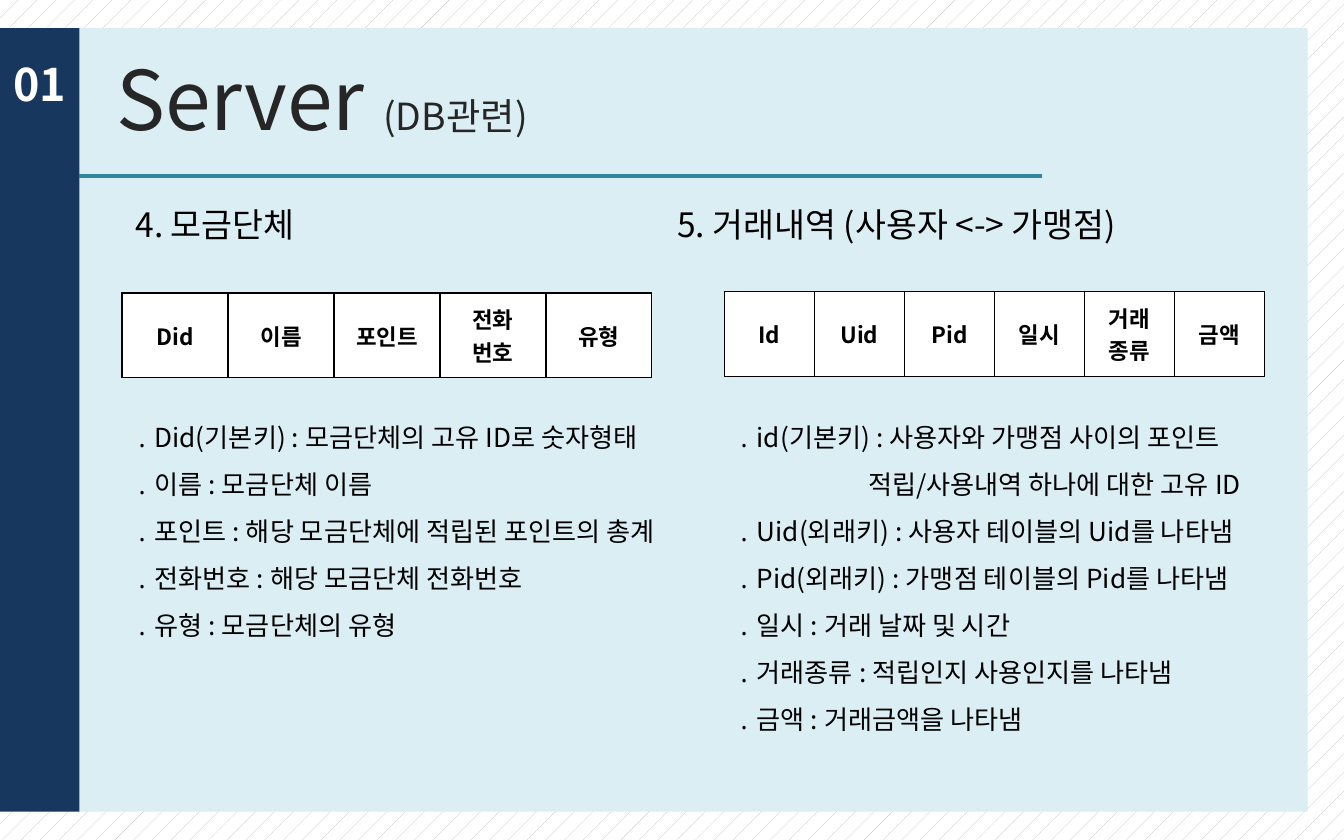
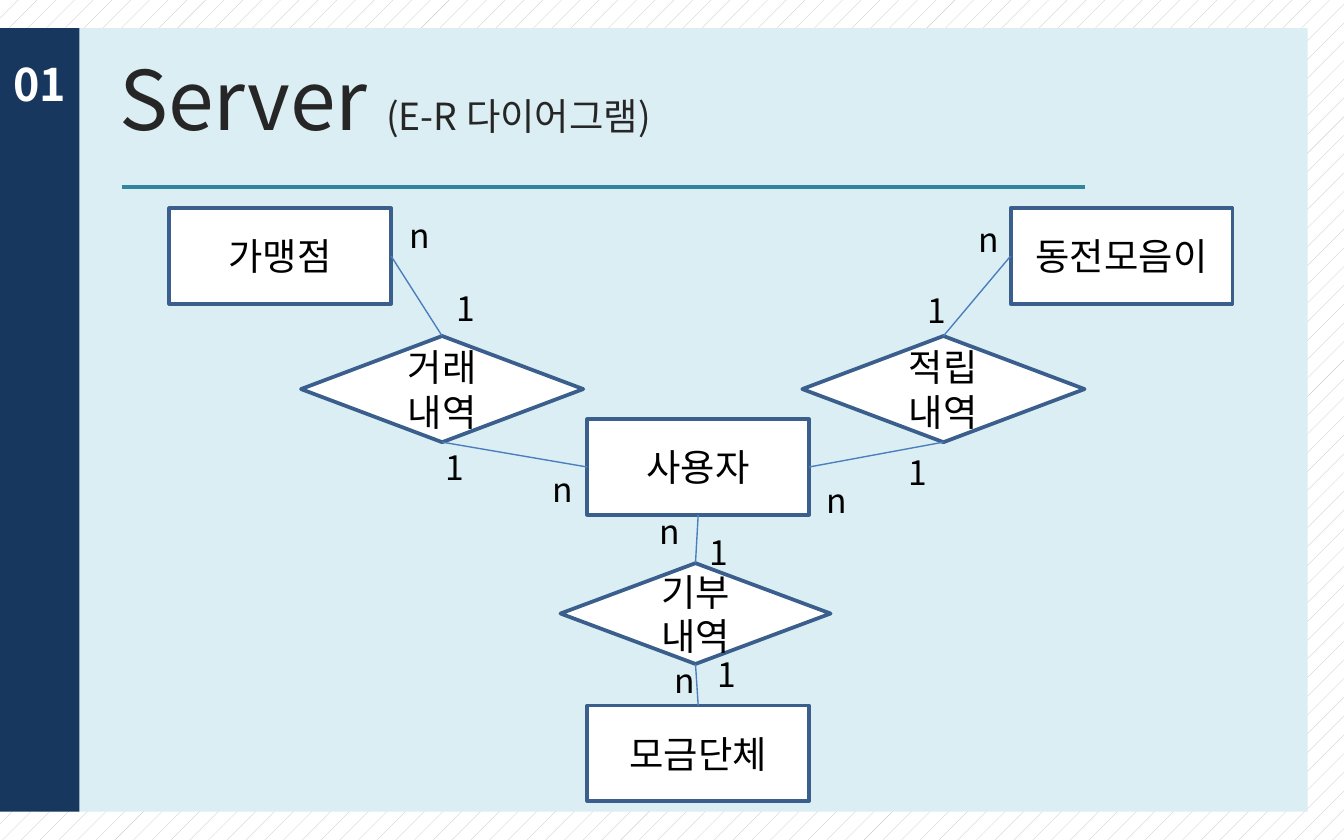
"""Build two server slides: database tables and an entity-relationship diagram."""
from dataclasses import dataclass

import pptx
import pptx.dml.color
import pptx.enum.dml
import pptx.enum.shapes
import pptx.enum.text
import pptx.oxml.ns
import pptx.util
from lxml import etree

SHAPE = pptx.enum.shapes.MSO_SHAPE
ALIGN = pptx.enum.text.PP_ALIGN
ANCHOR = pptx.enum.text.MSO_ANCHOR
TOP, LEFT, BOTTOM, RIGHT = range(4)
WIDTH, HEIGHT = pptx.util.Inches(10), pptx.util.Inches(6.25)
COLUMNS = 100


@dataclass(frozen=True)
class Theme:
    """Colours, font and type sizes of the deck."""
    font: str = "Noto Sans CJK KR"
    panel: str = "DBEEF4"
    bar: str = "17375E"
    rule: str = "31859C"
    hatch: str = "BFBFBF"
    title: str = "262626"
    outline: str = "3A5F8C"
    link: str = "4B7EBC"
    ink: str = "000000"
    paper: str = "FFFFFF"
    title_size: int = 44
    subtitle_size: int = 20
    number_size: int = 24
    heading_size: int = 18
    body_size: int = 14
    cell_size: int = 12
    node_size: int = 20


THEME = Theme()

FIELDS = [
    "․ Did(기본키) : 모금단체의 고유 ID로 숫자형태",
    "․ 이름 : 모금단체 이름",
    "․ 포인트 : 해당 모금단체에 적립된 포인트의 총계",
    "․ 전화번호 : 해당 모금단체 전화번호",
    "․ 유형 : 모금단체의 유형",
]
TRADE_FIELDS = [
    "․ id(기본키) : 사용자와 가맹점 사이의 포인트",
    "적립/사용내역 하나에 대한 고유 ID",
    "․ Uid(외래키) : 사용자 테이블의 Uid를 나타냄",
    "․ Pid(외래키) : 가맹점 테이블의 Pid를 나타냄",
    "․ 일시 : 거래 날짜 및 시간",
    "․ 거래종류 : 적립인지 사용인지를 나타냄",
    "․ 금액 : 거래금액을 나타냄",
]
ENTITIES = {
    "사용자": (43.7, 31.2),
    "모금단체": (43.7, 52.5),
    "동전모음이": (75.2, 15.5),
    "가맹점": (12.6, 15.5),
}
RELATIONS = {
    "적립\n내역": (59.7, 25, 21, 7.9),
    "거래\n내역": (22.4, 25, 21, 7.9),
    "기부\n내역": (41.7, 41.9, 20.1, 7.5),
}
LINKS = [
    ("거래\n내역", TOP, "가맹점", RIGHT),
    ("적립\n내역", TOP, "동전모음이", LEFT),
    ("기부\n내역", TOP, "사용자", BOTTOM),
    ("사용자", LEFT, "거래\n내역", BOTTOM),
    ("사용자", RIGHT, "적립\n내역", BOTTOM),
    ("기부\n내역", BOTTOM, "모금단체", TOP),
]
CARDINALITIES = {
    "n": [(29.5, 15.5), (40.1, 34.4), (48.1, 37.5),
          (49.2, 48.6), (60.5, 35.2), (71.8, 15.8)],
    "1": [(33, 20.9), (32.2, 32.8), (51.8, 39.1),
          (52.4, 48.2), (66.6, 33.1), (68, 21.1)],
}


def grid(*cells):
    """Turn counts of square grid cells into slide lengths."""
    return [round(WIDTH * n / COLUMNS) for n in cells]


def rgb(code):
    """Return the colour for a hex code."""
    return pptx.dml.color.RGBColor.from_string(code)


def format_run(r, size, color=THEME.ink, bold=False):
    """Give a run its font for Latin and Korean letters, size and colour."""
    r.font.size = pptx.util.Pt(size)
    r.font.bold = bold
    r.font.color.rgb = rgb(color)
    r.font.name = THEME.font
    latin = r.font._element.find(pptx.oxml.ns.qn("a:latin"))
    ea = etree.Element(pptx.oxml.ns.qn("a:ea"), typeface=THEME.font)
    latin.addnext(ea)


def write(tf, text, size, color=THEME.ink, bold=False, align=None, spacing=None):
    """Write text into a frame and format all of it alike."""
    tf.text = text
    for p in tf.paragraphs:
        p.alignment = align
        p.line_spacing = spacing
        for r in p.runs:
            format_run(r, size, color, bold)


def add_text(s, box, text, size, **style):
    """Add a wrapping text box and return its frame."""
    tf = s.shapes.add_textbox(*grid(*box)).text_frame
    tf.word_wrap = True
    write(tf, text, size, **style)
    return tf


def add_block(s, kind, box, fill, outline=None):
    """Add a filled preset shape, outlined if a colour is given."""
    sp = s.shapes.add_shape(kind, *grid(*box))
    sp.shadow.inherit = False
    sp.fill.solid()
    sp.fill.fore_color.rgb = rgb(fill)
    if outline:
        sp.line.color.rgb = rgb(outline)
        sp.line.width = pptx.util.Pt(2)
    else:
        sp.line.fill.background()
    return sp


def add_line(s, ends, color, width):
    """Add a straight line without shadow."""
    cxn = s.shapes.add_connector(
        pptx.enum.shapes.MSO_CONNECTOR.STRAIGHT, *grid(*ends))
    cxn.line.color.rgb = rgb(color)
    cxn.line.width = pptx.util.Pt(width)
    etree.SubElement(cxn._element.spPr, pptx.oxml.ns.qn("a:effectLst"))
    return cxn


def add_node(s, kind, box, text):
    """Add a labelled diagram node."""
    sp = add_block(s, kind, box, THEME.paper, THEME.outline)
    sp.text_frame.vertical_anchor = ANCHOR.MIDDLE
    write(sp.text_frame, text, THEME.node_size, align=ALIGN.CENTER)
    return sp


def add_border(cell):
    """Draw a thin line on each side of a table cell."""
    tc_pr = cell._tc.get_or_add_tcPr()
    for side in ("lnL", "lnR", "lnT", "lnB"):
        ln = etree.SubElement(tc_pr, pptx.oxml.ns.qn(f"a:{side}"),
                              w=str(pptx.util.Pt(1)))
        fill = etree.SubElement(ln, pptx.oxml.ns.qn("a:solidFill"))
        etree.SubElement(fill, pptx.oxml.ns.qn("a:srgbClr"), val=THEME.ink)


def add_fields_table(s, box, names):
    """Add a one-row table of field names with equal columns."""
    table = s.shapes.add_table(1, len(names), *grid(*box)).table
    table.first_row = table.horz_banding = False
    for cell, name in zip(table.rows[0].cells, names):
        add_border(cell)
        cell.fill.solid()
        cell.fill.fore_color.rgb = rgb(THEME.paper)
        cell.vertical_anchor = ANCHOR.MIDDLE
        write(cell.text_frame, name, THEME.cell_size, bold=True,
              align=ALIGN.CENTER)


def set_title(s, left, title, subtitle):
    """Place the title and set its large and small parts."""
    sp = s.shapes.title
    sp.left, sp.top, sp.width, sp.height = grid(left, 2.1, 52.1, 10.4)
    tf = sp.text_frame
    tf.vertical_anchor = ANCHOR.MIDDLE
    p = tf.paragraphs[0]
    p.alignment = ALIGN.CENTER
    for text, size in ((title, THEME.title_size),
                       (subtitle, THEME.subtitle_size)):
        r = p.add_run()
        r.text = text
        format_run(r, size, THEME.title)


def add_slide(prs, title_left, subtitle, rule_left, rule_top):
    """Add a slide with title, side bar, section number and rule."""
    s = prs.slides.add_slide(prs.slide_layouts.get_by_name("Title Only"))
    set_title(s, title_left, "Server ", subtitle)
    add_block(s, SHAPE.RECTANGLE, (0, 2.1, 5.9, 58.3), THEME.bar)
    add_line(s, (rule_left, rule_top, rule_left + 71.65, rule_top),
             THEME.rule, 2.25)
    add_text(s, (0, 3.7, 6.7, 5), "01", THEME.number_size,
             color=THEME.paper, bold=True)
    return s


def style_master(prs, s):
    """Give the master its hatched background and light panel."""
    master = prs.slide_master
    fill = master.background.fill
    fill.patterned()
    fill.pattern = pptx.enum.dml.MSO_PATTERN.PERCENT_5
    fill.fore_color.rgb = rgb(THEME.hatch)
    fill.back_color.rgb = rgb(THEME.paper)
    panel = add_block(s, SHAPE.RECTANGLE, (2.8, 2.1, 94.5, 58.3), THEME.panel)
    master.shapes.element.insert(2, panel.element)


def add_tables_slide(prs):
    """Describe the two database tables side by side."""
    s = add_slide(prs, -2.1, "(DB관련)", 5.9, 13.1)
    style_master(prs, s)
    for box, text in (((9.1, 14.7, 40, 4), "4. 모금단체"),
                      ((49.4, 14.7, 42.4, 4), "5. 거래내역 (사용자 <-> 가맹점)")):
        add_text(s, box, text, THEME.heading_size)
    add_fields_table(s, (9.1, 21.8, 39.4, 6.3),
                     ["Did", "이름", "포인트", "전화\n번호", "유형"])
    add_fields_table(s, (53.9, 21.7, 40.2, 6.3),
                     ["Id", "Uid", "Pid", "일시", "거래\n종류", "금액"])
    add_text(s, (9.1, 29.7, 44.8, 18.7), "\n".join(FIELDS),
             THEME.body_size, spacing=1.5)
    tf = add_text(s, (53.9, 29.7, 46.1, 25.7), "\n".join(TRADE_FIELDS),
                  THEME.body_size, spacing=1.5)
    tf.paragraphs[1]._p.get_or_add_pPr().set("marL", str(grid(9.7)[0]))


def add_diagram_slide(prs):
    """Draw the entity-relationship diagram."""
    s = add_slide(prs, 2.6, "(E-R 다이어그램)", 9.1, 13.9)
    nodes = {name: add_node(s, SHAPE.RECTANGLE, (*corner, 16.5, 7.1), name)
             for name, corner in ENTITIES.items()}
    for name, box in RELATIONS.items():
        nodes[name] = add_node(s, SHAPE.FLOWCHART_DECISION, box, name)
    for start, start_side, end, end_side in LINKS:
        cxn = add_line(s, (0, 0, 0, 0), THEME.link, 0.75)
        cxn.begin_connect(nodes[start], start_side)
        cxn.end_connect(nodes[end], end_side)
    for mark, corners in CARDINALITIES.items():
        for corner in corners:
            add_text(s, (*corner, 3.6, 4), mark, THEME.heading_size)


def main():
    """Build and save the deck."""
    prs = pptx.Presentation()
    prs.slide_width, prs.slide_height = WIDTH, HEIGHT
    add_tables_slide(prs)
    add_diagram_slide(prs)
    prs.save("out.pptx")


if __name__ == "__main__":
    main()
